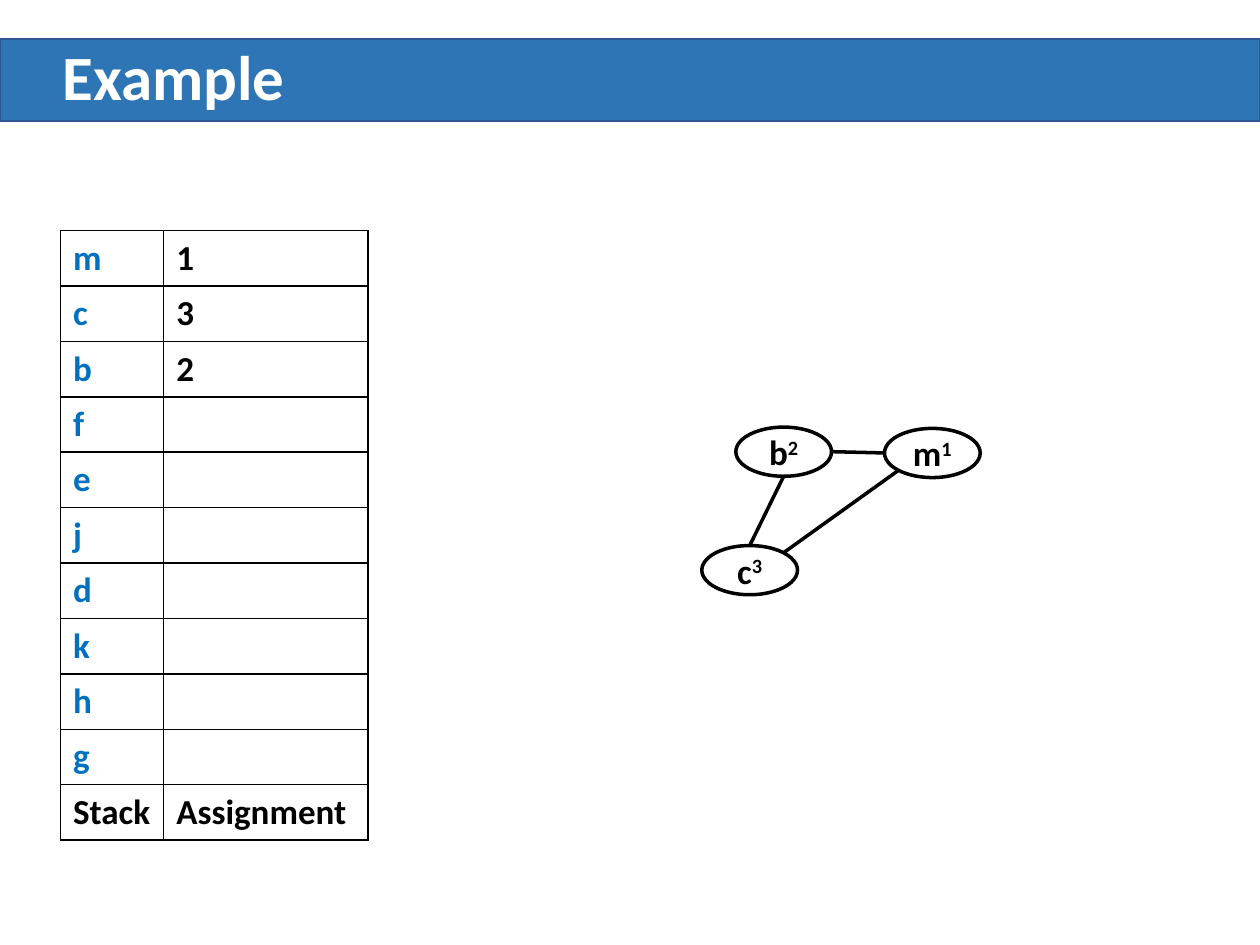
from dataclasses import dataclass
from math import cos, radians, sin

from lxml import etree
from pptx import Presentation
from pptx.dml.color import RGBColor
from pptx.enum.shapes import MSO_CONNECTOR, MSO_SHAPE
from pptx.enum.text import MSO_ANCHOR, PP_ALIGN
from pptx.oxml.ns import qn
from pptx.util import Inches, Pt

RECTANGLE, OVAL = MSO_SHAPE.RECTANGLE, MSO_SHAPE.OVAL
STRAIGHT = MSO_CONNECTOR.STRAIGHT
MIDDLE = MSO_ANCHOR.MIDDLE
LEFT, CENTER = PP_ALIGN.LEFT, PP_ALIGN.CENTER
BLANK_LAYOUT = 6
CELL_BORDERS = ("a:lnL", "a:lnR", "a:lnT", "a:lnB")


@dataclass(frozen=True)
class Theme:
    font: str = "Calibri"
    band: str = "2E75B6"
    band_edge: str = "325491"
    paper: str = "FFFFFF"
    ink: str = "000000"
    accent: str = "0070C0"
    title_size: int = 36
    body_size: int = 20
    thin: int = 1
    thick: int = 2


def grid(units):
    """The page is a grid of 100 columns and 75 rows of square cells."""
    return Inches(units / 10)


def rim_point(node, degrees):
    """Point on an oval's outline; 0 is right and 90 is down."""
    x = node.left + node.width / 2 * (1 + cos(radians(degrees)))
    y = node.top + node.height / 2 * (1 + sin(radians(degrees)))
    return round(x), round(y)


class SlideBuilder:
    def __init__(self, page, theme):
        self.page = page
        self.theme = theme

    def style(self, para, size, color, align=LEFT):
        para.alignment = align
        font = para.font
        font.name, font.size, font.bold = self.theme.font, Pt(size), True
        font.color.rgb = RGBColor.from_string(color)

    def shape(self, kind, left, top, width, height, fill, line, weight):
        shape = self.page.shapes.add_shape(
            kind, grid(left), grid(top), grid(width), grid(height))
        shape.shadow.inherit = False
        shape.fill.solid()
        shape.fill.fore_color.rgb = RGBColor.from_string(fill)
        shape.line.color.rgb = RGBColor.from_string(line)
        shape.line.width = Pt(weight)
        return shape

    def title(self, text, left, top, width, height):
        box = self.page.shapes.add_textbox(
            grid(left), grid(top), grid(width), grid(height))
        frame = box.text_frame
        frame.word_wrap = True
        frame.vertical_anchor = MIDDLE
        para = frame.paragraphs[0]
        para.text = text
        para.line_spacing = 0.9
        self.style(para, self.theme.title_size, self.theme.paper)

    def border(self, cell):
        properties = cell._tc.get_or_add_tcPr()
        for index, tag in enumerate(CELL_BORDERS):
            line = etree.Element(qn(tag), w=str(Pt(self.theme.thin)))
            fill = etree.SubElement(line, qn("a:solidFill"))
            etree.SubElement(fill, qn("a:srgbClr"), val=self.theme.ink)
            properties.insert(index, line)

    def table(self, rows, left, top, widths, row_height):
        table = self.page.shapes.add_table(
            len(rows), len(widths), grid(left), grid(top),
            grid(sum(widths)), grid(row_height * len(rows))).table
        for column, width in zip(table.columns, widths):
            column.width = grid(width)
        for r, row in enumerate(rows):
            for c, text in enumerate(row):
                cell = table.cell(r, c)
                cell.fill.solid()
                cell.fill.fore_color.rgb = RGBColor.from_string(self.theme.paper)
                self.border(cell)
                is_node = c == 0 and r < len(rows) - 1
                para = cell.text_frame.paragraphs[0]
                if text:
                    para.text = text
                self.style(para, self.theme.body_size,
                           self.theme.accent if is_node else self.theme.ink)

    def node(self, name, number, left, top):
        theme = self.theme
        oval = self.shape(OVAL, left, top, 7.6, 3.9,
                          theme.paper, theme.ink, theme.thick)
        frame = oval.text_frame
        frame.word_wrap = False
        frame.vertical_anchor = MIDDLE
        frame.margin_left = frame.margin_right = 0
        frame.margin_top = frame.margin_bottom = 0
        para = frame.paragraphs[0]
        para.add_run().text = name
        span = para.add_run()
        span.text = number
        span.font._element.set("baseline", "30000")
        self.style(para, theme.body_size, theme.ink, CENTER)
        return oval

    def edge(self, start, start_angle, end, end_angle):
        line = self.page.shapes.add_connector(
            STRAIGHT, *rim_point(start, start_angle), *rim_point(end, end_angle))
        line.line.color.rgb = RGBColor.from_string(self.theme.ink)
        line.line.width = Pt(self.theme.thick)
        etree.SubElement(line._element.spPr, qn("a:effectLst"))


def main():
    deck = Presentation()
    deck.slide_width, deck.slide_height = grid(100), grid(75)
    page = deck.slides.add_slide(deck.slide_layouts[BLANK_LAYOUT])
    theme = Theme()
    builder = SlideBuilder(page, theme)

    # Title band
    builder.shape(RECTANGLE, 0, 3.1, 100, 6.5,
                  theme.band, theme.band_edge, theme.thin)
    builder.title("Example", 4, 3.1, 92.4, 6.5)

    # Stack with the numbers assigned so far
    assigned = {"m": "1", "c": "3", "b": "2"}
    rows = [(name, assigned.get(name, "")) for name in "mcbfejdkhg"]
    rows.append(("Stack", "Assignment"))
    builder.table(rows, 4.8, 18.3, (8.2, 16.2), 4.4)

    # Graph rebuilt from the assigned nodes
    places = {"m": (70.2, 34), "b": (58.4, 33.9), "c": (55.7, 43.3)}
    nodes = {name: builder.node(name, assigned[name], *place)
             for name, place in places.items()}
    builder.edge(nodes["c"], -45, nodes["m"], 135)
    builder.edge(nodes["c"], -90, nodes["b"], 90)
    builder.edge(nodes["b"], 0, nodes["m"], 180)

    deck.save("out.pptx")


if __name__ == "__main__":
    main()
